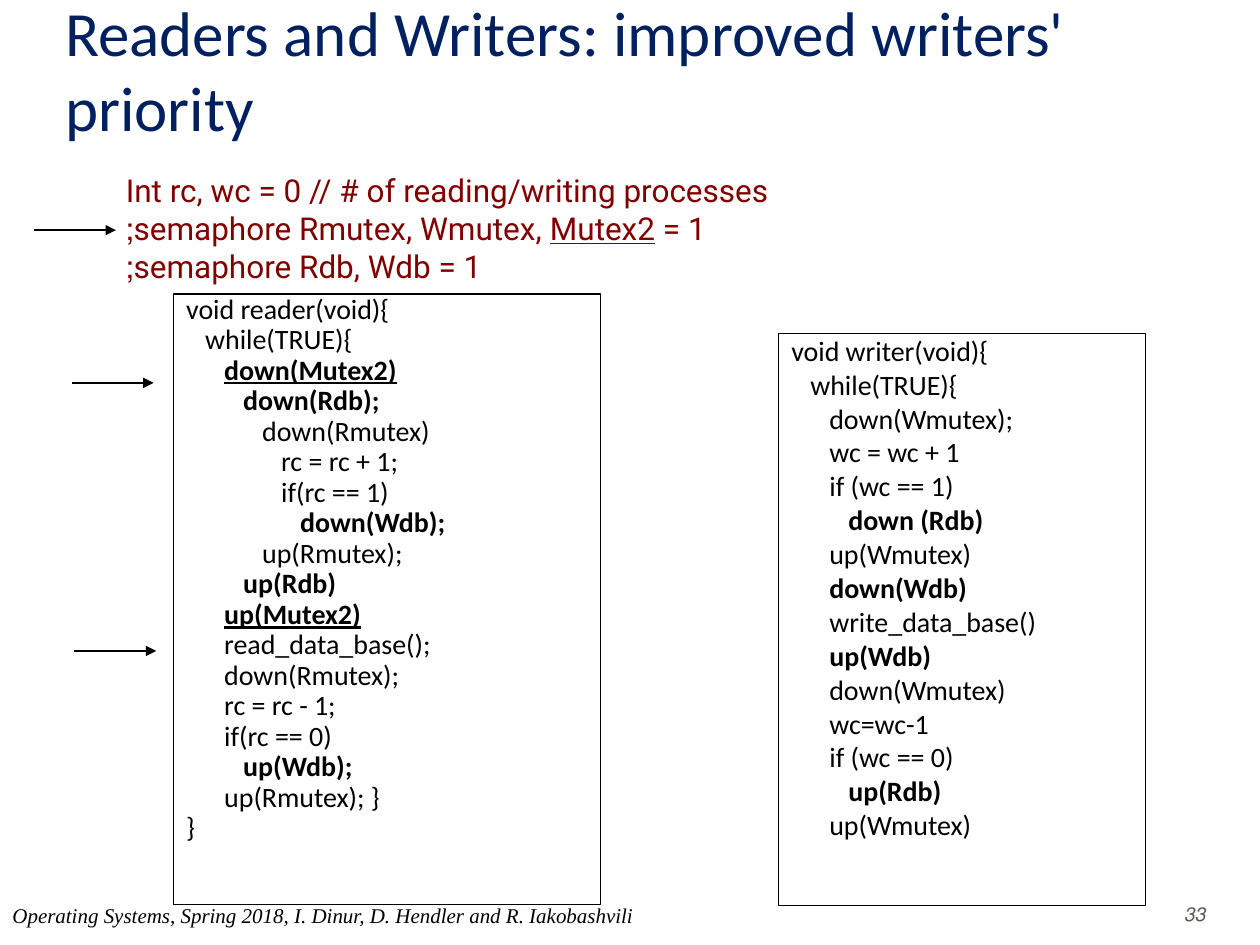
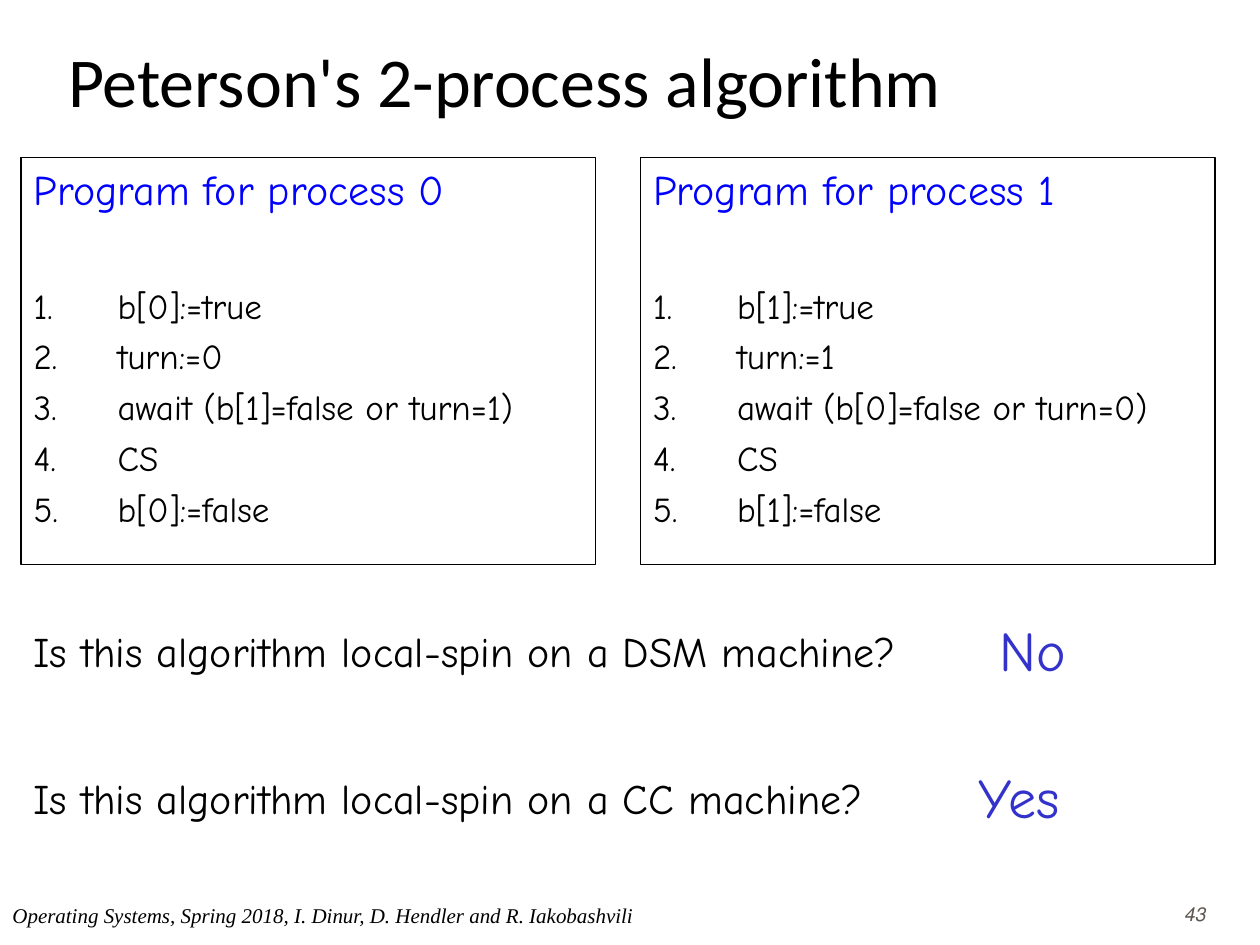
import typing

import lxml.etree
import pptx
import pptx.dml.color
import pptx.enum.shapes
import pptx.enum.text
import pptx.oxml.ns
import pptx.util

Pt = pptx.util.Pt
RGBColor = pptx.dml.color.RGBColor
Align = pptx.enum.text.PP_ALIGN
Anchor = pptx.enum.text.MSO_ANCHOR
qn = pptx.oxml.ns.qn

BLACK = RGBColor(0x00, 0x00, 0x00)
NAVY = RGBColor(0x00, 0x20, 0x60)
MAROON = RGBColor(0x80, 0x00, 0x00)
BLUE = RGBColor(0x00, 0x00, 0xFF)
INDIGO = RGBColor(0x33, 0x33, 0xCC)
GRAY = RGBColor(0x5E, 0x57, 0x4E)

SANS = "Calibri"
COMIC = "Comic Neue"
SERIF = "Times New Roman"
ROBOTO = "Roboto"

CREDIT = "Operating Systems, Spring 2018, I. Dinur, D. Hendler and R. Iakobashvili"
STEP = 10.85
HANG = 48


class Box(typing.NamedTuple):
    left: float
    top: float
    width: float
    height: float


class Style(typing.NamedTuple):
    face: str
    size: float
    color: RGBColor
    slant: typing.Optional[bool] = None
    before: float = 0
    lines: float = 1
    align: Align = Align.LEFT
    rtl: bool = False


class Code(typing.NamedTuple):
    depth: int
    text: str
    bold: bool = False
    under: bool = False


class Arrow(typing.NamedTuple):
    left: float
    level: float


class Query(typing.NamedTuple):
    text: str
    top: float
    reply: str
    spot: Box


FOOTER = Style(SERIF, 12, BLACK, slant=True, rtl=True)
NUMBER = Style(SERIF, 11.1, GRAY, slant=True, lines=0.9, align=Align.JUSTIFY, rtl=True)
GLOBAL = Style(ROBOTO, 18, MAROON, rtl=True)
READER = Style(SANS, 16, BLACK, before=4, lines=0.7)
WRITER = READER._replace(lines=0.8)
HEADING = Style(COMIC, 24, BLUE, before=6)
ITEM = Style(COMIC, 20, BLACK, before=5)
ASK = Style(COMIC, 24, BLACK, before=15)
REPLY = Style(COMIC, 32, INDIGO, before=20)

READ_CODE = [
    Code(0, "void reader(void){"),
    Code(1, "while(TRUE){"),
    Code(2, "down(Mutex2)", True, True),
    Code(3, "down(Rdb);", True),
    Code(4, "down(Rmutex)"),
    Code(5, "rc = rc + 1;"),
    Code(5, "if(rc == 1)"),
    Code(6, "down(Wdb);", True),
    Code(4, "up(Rmutex);"),
    Code(3, "up(Rdb)", True),
    Code(2, "up(Mutex2)", True, True),
    Code(2, "read_data_base();"),
    Code(2, "down(Rmutex);"),
    Code(2, "rc = rc - 1;"),
    Code(2, "if(rc == 0)"),
    Code(3, "up(Wdb);", True),
    Code(2, "up(Rmutex); }"),
    Code(0, "}"),
]
WRITE_CODE = [
    Code(0, "void writer(void){"),
    Code(1, "while(TRUE){"),
    Code(2, "down(Wmutex);"),
    Code(2, "wc = wc + 1"),
    Code(2, "if (wc == 1)"),
    Code(3, "down (Rdb)", True),
    Code(2, "up(Wmutex)"),
    Code(2, "down(Wdb)", True),
    Code(2, "write_data_base()"),
    Code(2, "up(Wdb)", True),
    Code(2, "down(Wmutex)"),
    Code(2, "wc=wc-1"),
    Code(2, "if (wc == 0)"),
    Code(3, "up(Rdb)", True),
    Code(2, "up(Wmutex)"),
]
GLOBALS = [
    ["Int rc, wc = 0 // # of reading/writing processes"],
    ["semaphore Rmutex, Wmutex, ", "Mutex2", " = 1;"],
    ["semaphore Rdb, Wdb = 1;"],
]
ARROWS = [Arrow(19.5, 131.5), Arrow(41, 218.8), Arrow(42.5, 372)]
QUERIES = [
    Query("Is this algorithm local-spin on a DSM machine?", 354, "No", Box(564, 348, 126, 46)),
    Query("Is this algorithm local-spin on a CC machine?", 438, "Yes", Box(552, 432, 72, 46)),
]


def place(shape, box: Box) -> None:
    shape.left, shape.top, shape.width, shape.height = map(Pt, box)


def format_para(para, style: Style, indent: float = 0, number: bool = False) -> None:
    props = para._p.get_or_add_pPr()
    props.set("marL", str(Pt(indent)))
    props.set("indent", str(-Pt(indent) if number else 0))
    if style.rtl:
        props.set("rtl", "1")
    if number:
        mark = lxml.etree.SubElement(props, qn("a:buAutoNum"))
        mark.set("type", "arabicPeriod")
    else:
        lxml.etree.SubElement(props, qn("a:buNone"))
    para.alignment = style.align
    para.line_spacing = style.lines
    para.space_before = Pt(style.before)
    para.space_after = Pt(0)
    para.font.name = style.face
    para.font.size = Pt(style.size)
    para.font.color.rgb = style.color
    para.font.italic = style.slant


def get_paras(frame, count: int) -> list:
    return [frame.paragraphs[0]] + [frame.add_paragraph() for _ in range(count - 1)]


def add_label(slide, box: Box, rows: typing.List[typing.List[str]], style: Style) -> list:
    label = slide.shapes.add_textbox(*map(Pt, box))
    frame = label.text_frame
    frame.word_wrap = True
    paras = get_paras(frame, len(rows))
    for para, parts in zip(paras, rows):
        format_para(para, style)
        for part in parts:
            para.add_run().text = part
    return paras


def set_title(slide, text: str, box: Box, style: Style, anchor: Anchor) -> None:
    title = slide.shapes.title
    place(title, box)
    frame = title.text_frame
    frame.text = text
    frame.auto_size = pptx.enum.text.MSO_AUTO_SIZE.NONE
    frame.vertical_anchor = anchor
    format_para(frame.paragraphs[0], style)


def frame_body(slide, index: int, box: Box):
    body = slide.placeholders[index]
    place(body, box)
    body.line.color.rgb = BLACK
    body.line.width = Pt(0.75)
    body.text_frame.auto_size = pptx.enum.text.MSO_AUTO_SIZE.NONE
    return body.text_frame


def add_code(slide, index: int, box: Box, rows: typing.List[Code], style: Style) -> None:
    frame = frame_body(slide, index, box)
    for para, row in zip(get_paras(frame, len(rows)), rows):
        para.text = row.text
        format_para(para, style, indent=STEP * row.depth)
        para.font.bold = row.bold
        para.font.underline = row.under


def add_program(slide, index: int, left: float, own: int) -> None:
    other = 1 - own
    steps = [
        f"b[{own}]:=true",
        f"turn:={own}",
        f"await (b[{other}]=false or turn={other})",
        "CS",
        f"b[{own}]:=false",
    ]
    frame = frame_body(slide, index, Box(left, 90, 328.3, 232.6))
    head, *items = get_paras(frame, len(steps) + 1)
    head.text = f"Program for process {own}"
    format_para(head, HEADING)
    for para, step in zip(items, steps):
        para.text = step
        format_para(para, ITEM, indent=HANG, number=True)
    items[0].space_before = Pt(40)


def add_arrow(slide, arrow: Arrow) -> None:
    line = slide.shapes.add_connector(
        pptx.enum.shapes.MSO_CONNECTOR.STRAIGHT,
        Pt(arrow.left), Pt(arrow.level), Pt(arrow.left + 46.8), Pt(arrow.level),
    )
    line.line.color.rgb = BLACK
    line.line.width = Pt(0.75)
    tail = lxml.etree.SubElement(line.line._get_or_add_ln(), qn("a:tailEnd"))
    tail.set("type", "triangle")
    lxml.etree.SubElement(line._element.spPr, qn("a:effectLst"))


def add_slide(deck, number: int):
    slide = deck.slides.add_slide(deck.slide_layouts[3])
    add_label(slide, Box(552, 513.4, 144, 21.6), [[str(number)]], NUMBER)
    add_label(slide, Box(0, 512, 545.8, 36), [[CREDIT]], FOOTER)
    return slide


def build_readers(deck) -> None:
    slide = add_slide(deck, 33)
    set_title(slide, "Readers and Writers: improved writers' priority",
              Box(30, 9.4, 612, 60), Style(SANS, 36, NAVY), Anchor.MIDDLE)
    add_code(slide, 1, Box(99.2, 168, 244, 349), READ_CODE, READER)
    add_code(slide, 2, Box(445, 190.6, 209.5, 327), WRITE_CODE, WRITER)
    paras = add_label(slide, Box(64.8, 94.3, 635, 105), GLOBALS, GLOBAL)
    paras[1].runs[1].font.underline = True
    for arrow in ARROWS:
        add_arrow(slide, arrow)


def build_peterson(deck) -> None:
    slide = add_slide(deck, 43)
    set_title(slide, "Peterson's 2-process algorithm",
              Box(31.7, 18, 652, 60), Style(SANS, 40, BLACK), Anchor.TOP)
    for own, left in enumerate((12, 366)):
        add_program(slide, own + 1, left, own)
    for query in QUERIES:
        add_label(slide, Box(12, query.top, 582, 36), [[query.text]], ASK)
        add_label(slide, query.spot, [[query.reply]], REPLY)


def main() -> None:
    deck = pptx.Presentation()
    deck.slide_width, deck.slide_height = Pt(720), Pt(540)
    build_readers(deck)
    build_peterson(deck)
    deck.save("out.pptx")


if __name__ == "__main__":
    main()
